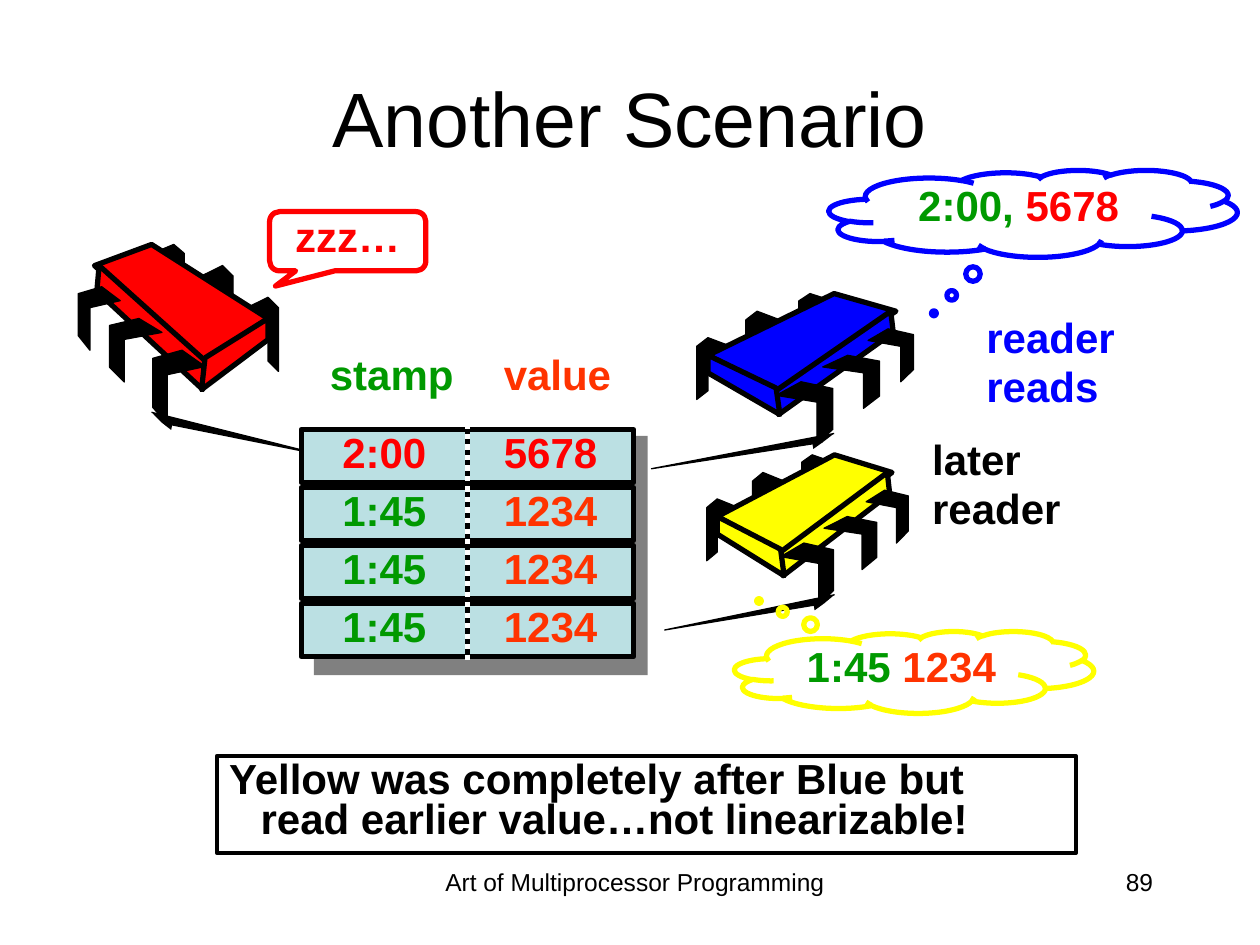
from dataclasses import dataclass

import pptx
import pptx.dml.color
import pptx.enum.dml
import pptx.enum.shapes
import pptx.enum.text
import pptx.oxml
import pptx.oxml.ns
import pptx.util

Inches, Pt = pptx.util.Inches, pptx.util.Pt
RGBColor = pptx.dml.color.RGBColor
SHAPE = pptx.enum.shapes.MSO_SHAPE
ALIGN = pptx.enum.text.PP_ALIGN
ANCHOR = pptx.enum.text.MSO_ANCHOR

BLACK = RGBColor(0, 0, 0)
WHITE = RGBColor(255, 255, 255)
GRAY = RGBColor(0x80, 0x80, 0x80)
RED = RGBColor(255, 0, 0)
BLUE = RGBColor(0, 0, 255)
YELLOW = RGBColor(255, 255, 0)
GREEN = RGBColor(0, 0x99, 0)
ORANGE = RGBColor(0xFF, 0x33, 0)
PALE = RGBColor(0xBB, 0xE0, 0xE3)

BODY = {"name": "Arial", "size": Pt(24), "bold": True}
SMALL = {"name": "Arial", "size": Pt(14), "bold": False}
TITLE = {"name": "Arial", "size": Pt(44), "bold": False}

Point = tuple[float, float]
Box = tuple[float, float, float, float]
Run = tuple[str, RGBColor]

# Leg outlines in a unit square
BACK_LEG = [(1, .14), (.33, 0), (0, .14), (0, 1), (.33, .86), (.33, .29), (1, .43)]
FRONT_LEG = [(.44, 0), (0, .22), (.72, .33), (.72, 1), (1, .77), (1, .11)]

# Chip parts in inches from the top left corner of an unscaled chip
BACK_LEGS = [(0, .35, .27, .49), (.39, .14, .27, .49), (.81, 0, .27, .42)]
FRONT_LEGS = [(.63, .7, .45, .49), (1, .49, .45, .42), (1.36, .28, .36, .42)]
CHIP_FACES = [
    [(1.09, 0), (.09, .49), (.65, .78), (1.58, .14)],
    [(1.54, .14), (.63, .77), (.65, .96), (1.56, .31)],
    [(.09, .49), (.09, .63), (.66, .96), (.63, .75)],
]
WIRE = [(1.09, 1.11), (-.36, 1.39), (1, 1.18)]


@dataclass
class Chip:
    left: float
    top: float
    color: RGBColor
    sx: float = 1
    sy: float = 1


@dataclass
class Callout:
    kind: SHAPE
    box: Box
    color: RGBColor
    adjustments: list[float]
    runs: list[Run]


@dataclass
class Label:
    box: Box
    lines: list[str]
    color: RGBColor


CHIPS = {
    "writer": Chip(2.21, 1.94, RED, -.924, 1.2),
    "reader": Chip(5.53, 2.33, BLUE),
    "later reader": Chip(5.61, 3.61, YELLOW, .93),
}
CALLOUTS = [
    Callout(SHAPE.CLOUD_CALLOUT, (6.58, 1.35, 3.24, .69), BLUE, [-.243, 1.147],
            [("2:00, ", GREEN), ("5678", RED)]),
    Callout(SHAPE.ROUNDED_RECTANGULAR_CALLOUT, (2.14, 1.68, 1.24, .47), RED,
            [-.462, .757, .167], [("zzz…", RED)]),
    Callout(SHAPE.CLOUD_CALLOUT, (5.83, 5.01, 2.85, .65), YELLOW, [-.432, -.87],
            [("1:45 ", GREEN), ("1234", ORANGE)]),
]
LABELS = [
    Label((2.52, 2.79, 1.19, .42), ["stamp"], GREEN),
    Label((3.9, 2.79, 1.06, .42), ["value"], ORANGE),
    Label((7.73, 2.5, 1.33, .83), ["reader", "reads"], BLUE),
    Label((7.3, 3.47, 1.23, .83), ["later", "reader"], BLACK),
]
ROWS = [[("2:00", RED), ("5678", RED)]] + [[("1:45", GREEN), ("1234", ORANGE)]] * 3
TABLE_LEFT, TABLE_TOP, CELL_W, CELL_H, ROW_STEP = 2.39, 3.41, 1.32, .42, .46


def write(tf, lines: list[list[Run]], fmt: dict, align=ALIGN.LEFT, hanging=True) -> None:
    for i, runs in enumerate(lines):
        p = tf.add_paragraph() if i else tf.paragraphs[0]
        p.alignment = align
        if hanging:
            pPr = p._p.get_or_add_pPr()
            pPr.set("marL", str(Inches(.25)))
            pPr.set("indent", str(-Inches(.25)))
            p.line_spacing = .8
            if i:
                p.space_before = Pt(4.8)
        for text, color in runs:
            r = p.add_run()
            r.text = text
            for key, value in fmt.items():
                setattr(r.font, key, value)
            r.font.color.rgb = color


def paint(sp, fill: RGBColor | None, line: RGBColor | None = None, width: float = 3) -> None:
    sp.shadow.inherit = False
    if fill is None:
        sp.fill.background()
    else:
        sp.fill.solid()
        sp.fill.fore_color.rgb = fill
    if line is None:
        sp.line.fill.background()
    else:
        sp.line.color.rgb = line
        sp.line.width = Pt(width)


def add_shape(s, kind: SHAPE, box: Box, fill, line=None, width: float = 3):
    sp = s.shapes.add_shape(kind, *map(Inches, box))
    paint(sp, fill, line, width)
    sp.text_frame.word_wrap = True
    sp.text_frame.vertical_anchor = ANCHOR.TOP
    return sp


def add_text(s, box: Box, lines: list[list[Run]], fmt: dict, wrap=True, **kw) -> None:
    tf = s.shapes.add_textbox(*map(Inches, box)).text_frame
    tf.word_wrap = wrap
    write(tf, lines, fmt, **kw)


def fit(outline: list[Point], box: Box) -> list[Point]:
    """Stretch a unit outline over a box."""
    x, y, w, h = box
    return [(x + w * u, y + h * v) for u, v in outline]


def draw_chip(s, chip: Chip) -> None:
    def part(points: list[Point], fill: RGBColor, width: float, close=True):
        pts = [(Inches(chip.left + chip.sx * x), Inches(chip.top + chip.sy * y))
               for x, y in points]
        fb = s.shapes.build_freeform(*pts[0], scale=1.0)
        fb.add_line_segments(pts[1:], close=close)
        sp = fb.convert_to_shape()
        paint(sp, fill, BLACK, width)
        return sp

    for box in BACK_LEGS:
        part(fit(BACK_LEG, box), BLACK, .75)
    for face in CHIP_FACES:
        part(face, chip.color, 3)
    for box in FRONT_LEGS:
        part(fit(FRONT_LEG, box), BLACK, .75)
    wire = part(WIRE, BLACK, .75, close=False)
    ln = wire.line._get_or_add_ln()
    pptx.oxml.ns.qn("a:tailEnd")
    ln.append(pptx.oxml.parse_xml(
        f'<a:tailEnd {pptx.oxml.ns.nsdecls("a")} type="triangle"/>'))


def draw_table(s) -> None:
    for i, row in enumerate(ROWS):
        for j, run in enumerate(row):
            box = (TABLE_LEFT + j * CELL_W, TABLE_TOP + i * ROW_STEP, CELL_W, CELL_H)
            sp = add_shape(s, SHAPE.RECTANGLE, box, PALE, BLACK)
            sp.text_frame.vertical_anchor = ANCHOR.MIDDLE
            write(sp.text_frame, [[run]], BODY, ALIGN.CENTER)
    x = Inches(TABLE_LEFT + CELL_W)
    divider = s.shapes.add_connector(
        pptx.enum.shapes.MSO_CONNECTOR.STRAIGHT, x, Inches(3.36), x, Inches(5.24))
    divider.line.color.rgb = WHITE
    divider.line.width = Pt(3)
    divider.line.dash_style = pptx.enum.dml.MSO_LINE.ROUND_DOT
    divider._element.spPr.append(pptx.oxml.parse_xml(
        f'<a:effectLst {pptx.oxml.ns.nsdecls("a")}/>'))


def draw_callout(s, c: Callout) -> None:
    sp = add_shape(s, c.kind, c.box, None, c.color)
    for i, value in enumerate(c.adjustments):
        sp.adjustments[i] = value
    write(sp.text_frame, [c.runs], BODY, ALIGN.CENTER)


def main() -> None:
    prs = pptx.Presentation()
    prs.slide_width, prs.slide_height = Inches(10), Inches(7.5)
    s = prs.slides.add_slide(prs.slide_layouts[5])
    title = s.shapes.title
    title.left, title.top, title.width, title.height = map(Inches, (.5, .3, 9, 1.25))
    title.text_frame.vertical_anchor = ANCHOR.MIDDLE
    write(title.text_frame, [[("Another Scenario", BLACK)]], TITLE, ALIGN.CENTER, False)

    add_shape(s, SHAPE.RECTANGLE, (2.49, 3.46, 2.65, 1.9), GRAY)
    draw_chip(s, CHIPS["writer"])
    draw_table(s)
    for name in ("reader", "later reader"):
        draw_chip(s, CHIPS[name])
    for c in CALLOUTS:
        draw_callout(s, c)
    for label in LABELS:
        add_text(s, label.box, [[(line, label.color)] for line in label.lines], BODY, wrap=False)

    conclusion = add_shape(s, SHAPE.RECTANGLE, (1.72, 6, 6.82, .77), WHITE, BLACK, 2.25)
    write(conclusion.text_frame, [[(
        "Yellow was completely after Blue but read earlier value…not linearizable!", BLACK)]], BODY)
    add_text(s, (3.33, 6.83, 3.42, .52), [[("Art of Multiprocessor Programming", BLACK)]],
             SMALL, align=ALIGN.CENTER, hanging=False)
    add_text(s, (7.17, 6.83, 2.08, .5), [[("89", BLACK)]], SMALL, align=ALIGN.RIGHT, hanging=False)
    prs.save("out.pptx")


if __name__ == "__main__":
    main()
